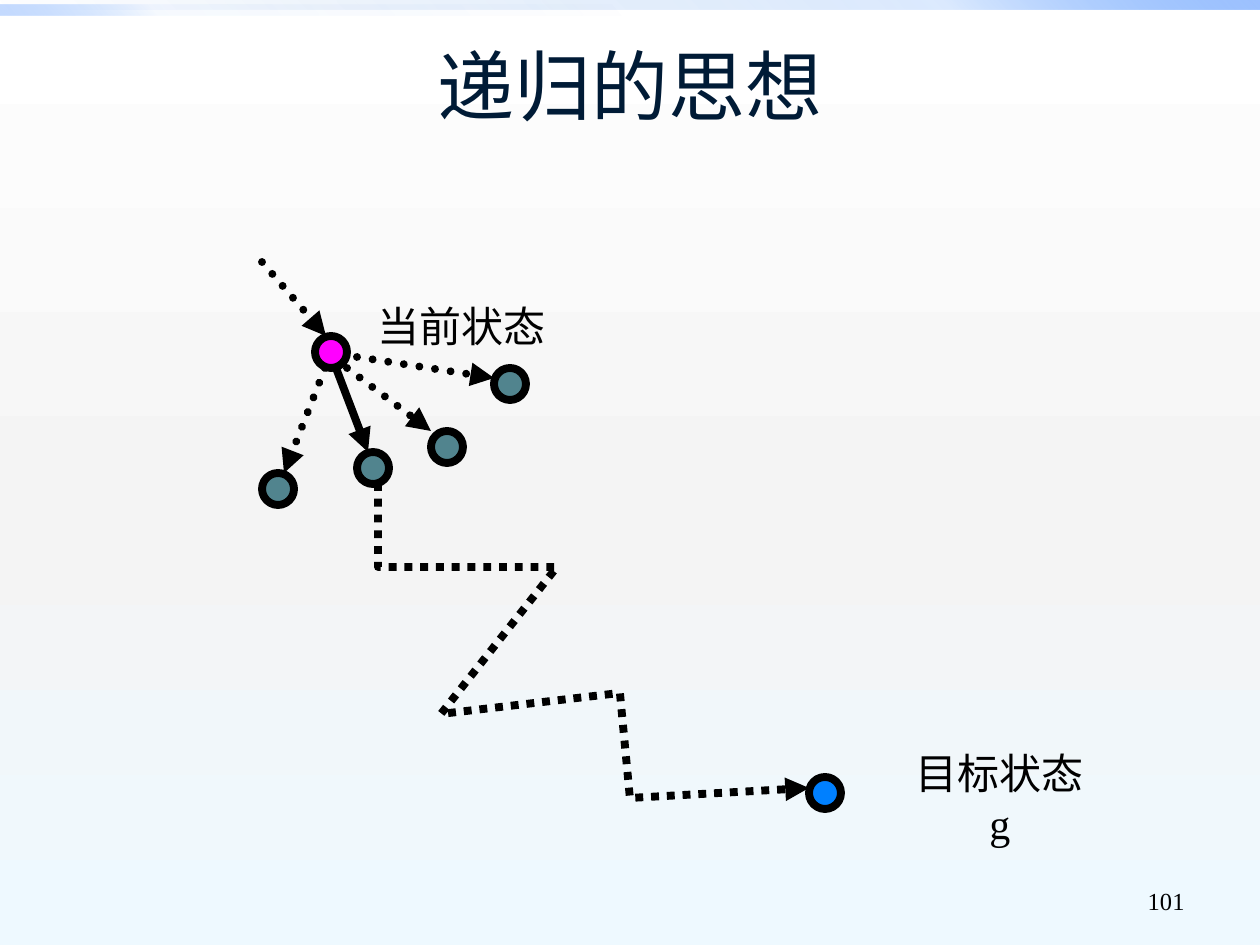
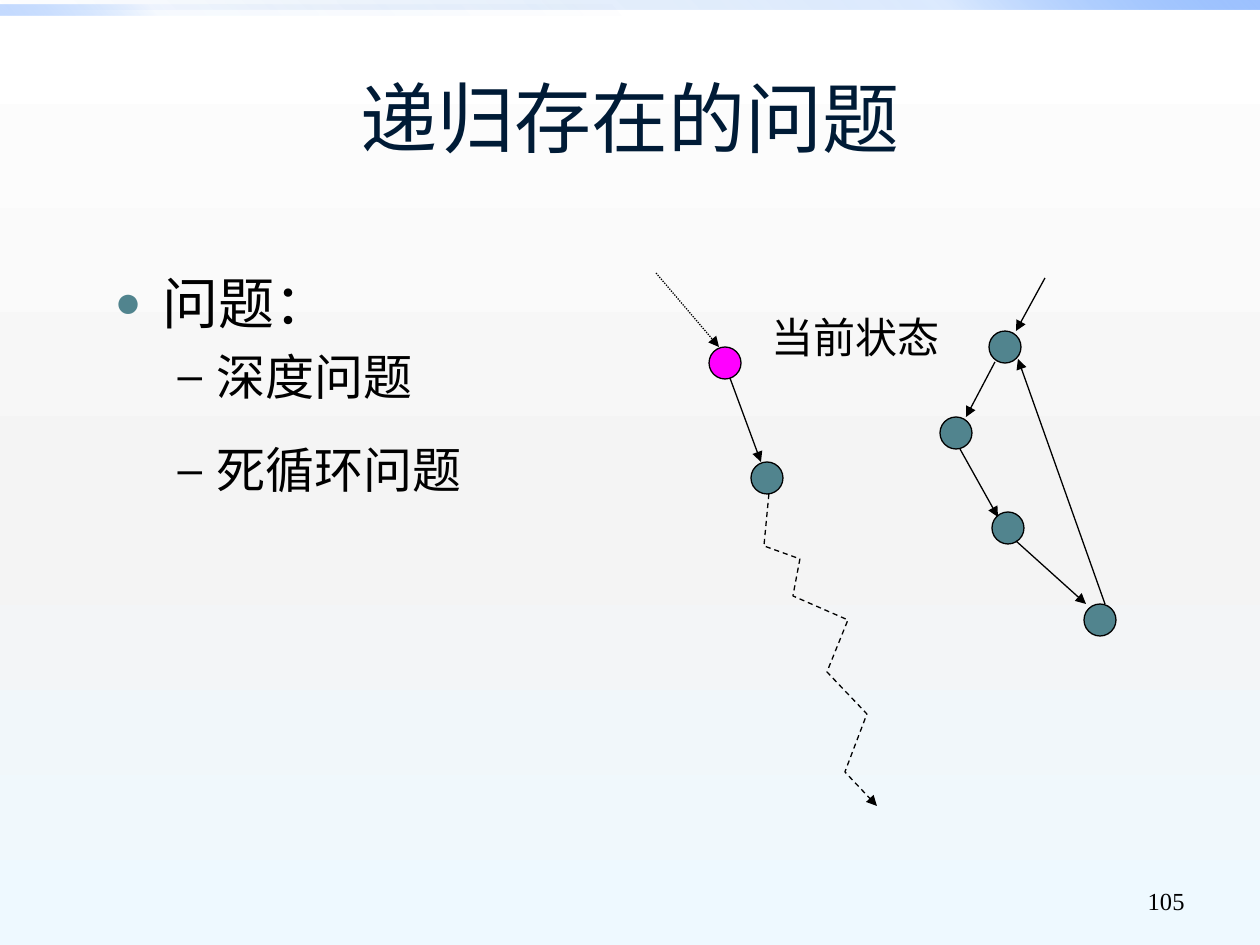
import pptx
import pptx.util
import pptx.dml.color
import pptx.enum.dml
import pptx.enum.shapes
import pptx.enum.text
import pptx.oxml
import pptx.oxml.ns
import lxml.etree

UNIT = 914400 / 126
DARK, TEAL, PINK, BLUE, NAVY = "000000", "51848E", "FF00FF", "0080FF", "001B36"
SERIF = "Times New Roman"
qn = pptx.oxml.ns.qn
Pt = pptx.util.Pt
KIND = pptx.enum.shapes.MSO_SHAPE
LINE = pptx.enum.shapes.MSO_CONNECTOR
DASH = pptx.enum.dml.MSO_LINE
ALIGN = pptx.enum.text.PP_ALIGN
MID = pptx.enum.text.MSO_ANCHOR.MIDDLE
FIXED = pptx.enum.text.MSO_AUTO_SIZE.NONE


def hue(code):
    return pptx.dml.color.RGBColor.from_string(code)


def grad(root, stops, angle):
    old = root.find(".//" + qn("a:solidFill"))
    new = lxml.etree.Element(qn("a:gradFill"), rotWithShape="1")
    row = lxml.etree.SubElement(new, qn("a:gsLst"))
    for pos, code, alpha in stops:
        stop = lxml.etree.SubElement(row, qn("a:gs"), pos=str(pos * 1000))
        tint = lxml.etree.SubElement(stop, qn("a:srgbClr"), val=code)
        lxml.etree.SubElement(tint, qn("a:alpha"), val=str(alpha * 1000))
    lxml.etree.SubElement(new, qn("a:lin"), ang=str(angle * 60000), scaled="0")
    old.getparent().replace(old, new)


pages = [
    {
        "title": "递归的思想", "spot": (95, 32, 1071, 105), "page": "101",
        "weight": 4.5, "cap": "rnd", "list": [],
        "texts": [("当前状态", (365, 294, 193, 63), False),
                  ("目标状态g", (900, 766, 200, 63), True)],
        "parts": [{
            "nodes": [(315, 336, PINK), (357, 452, TEAL), (809, 777, BLUE),
                      (431, 431, TEAL), (262, 473, TEAL), (494, 368, TEAL)],
            "trail": [(378, 483), (378, 567), (557, 567), (441, 714),
                      (620, 693), (630, 798), (809, 788)],
            "dash": DASH.ROUND_DOT,
            "solid": [(336, 368, 368, 452)],
            "dots": [(325, 368, 284, 473), (347, 368, 431, 431),
                     (357, 357, 494, 378), (262, 262, 326, 336)],
        }],
    },
    {
        "title": "递归存在的问题", "spot": (63, 38, 1134, 158), "page": "105",
        "weight": 0.75, "cap": "flat",
        "list": [("问题：", 0, 32, 0, "●", TEAL, 80),
                 ("深度问题", 1, 28, 6, "–", DARK, 90),
                 ("死循环问题", 1, 28, 20, "–", DARK, 90)],
        "texts": [("当前状态", (759, 305, 193, 63), False)],
        "parts": [{
            "nodes": [(709, 347, PINK), (751, 462, TEAL)],
            "trail": [(769, 494), (764, 546), (800, 559), (793, 596), (848, 620),
                      (827, 672), (867, 714), (845, 772), (877, 806)],
            "dash": DASH.DASH,
            "solid": [(730, 378, 761, 462)],
            "dots": [(656, 273, 719, 347)],
        }, {
            "nodes": [(989, 331, TEAL), (940, 417, TEAL),
                      (992, 512, TEAL), (1084, 604, TEAL)],
            "trail": [],
            "dash": None,
            "solid": [(1045, 278, 1016, 331), (995, 362, 966, 417),
                      (960, 449, 998, 517), (1016, 541, 1086, 604),
                      (1105, 604, 1018, 359)],
            "dots": [],
        }],
    },
]

deck = pptx.Presentation()
deck.slide_width, deck.slide_height = round(1260 * UNIT), round(945 * UNIT)
base = deck.slide_master
base.background.fill.solid()
grad(base.element, [(0, "FFFFFF", 100), (55, "F4F4F4", 100), (100, "EEF9FF", 100)], 90)

bands = [((0, 0, 1260, 10), (0, 20, 100), 315),
         ((0, 5, 630, 10), (0, 5, 60), 135)]
slides = [deck.slides.add_slide(deck.slide_layouts[1 if page["list"] else 5])
          for page in pages]
for rank, (box, alphas, angle) in enumerate(bands):
    band = slides[0].shapes.add_shape(KIND.RECTANGLE, *[round(n * UNIT) for n in box])
    band.shadow.inherit = False
    band.line.fill.background()
    band.fill.solid()
    grad(band.element, list(zip((0, 75, 100), ("0058B7", "4F95FF", "9EC2FF"), alphas)), angle)
    band.element.find(".//" + qn("p:cNvPr")).set("id", str(50 + rank))
    base.shapes.element.insert(2 + rank, band.element)

for slide, page in zip(slides, pages):
    shapes = slide.shapes
    if page["list"]:
        body = slide.placeholders[1]
        for name, size in zip(("left", "top", "width", "height"), (102, 262, 1071, 255)):
            setattr(body, name, round(size * UNIT))
        body.text_frame.auto_size = FIXED
        for rank, (words, level, size, gap, mark, code, scale) in enumerate(page["list"]):
            para = body.text_frame.paragraphs[0] if rank == 0 else body.text_frame.add_paragraph()
            para.level = level
            para.space_before = Pt(gap)
            run = para.add_run()
            run.text = words
            run.font.color.rgb = hue(DARK)
            for name, value in {"size": Pt(size), "name": SERIF}.items():
                setattr(run.font, name, value)
            props = para._p.get_or_add_pPr()
            left, dent = ((48, -48), (102, -39))[level]
            props.set("marL", str(round(left * UNIT)))
            props.set("indent", str(round(dent * UNIT)))
            tint = lxml.etree.SubElement(props, qn("a:buClr"))
            lxml.etree.SubElement(tint, qn("a:srgbClr"), val=code)
            lxml.etree.SubElement(props, qn("a:buSzPct"), val=str(scale * 1000))
            lxml.etree.SubElement(props, qn("a:buChar"), char=mark)

    for part in page["parts"]:
        group = shapes.add_group_shape().shapes
        for x, y, code in part["nodes"]:
            node = group.add_shape(KIND.OVAL, *[round(n * UNIT) for n in (x, y, 32, 32)])
            node.shadow.inherit = False
            node.fill.solid()
            node.fill.fore_color.rgb = hue(code)
            node.line.color.rgb = hue(DARK)
            node.line.width = Pt(page["weight"])
        links = []
        if part["trail"]:
            trail = group.build_freeform(*part["trail"][0], scale=UNIT)
            trail.add_line_segments(part["trail"][1:], close=False)
            curve = trail.convert_to_shape()
            curve.fill.background()
            links.append((curve, part["dash"], "flat"))
        for ends, dash, cap in ([(e, None, "flat") for e in part["solid"]]
                                + [(e, DASH.ROUND_DOT, page["cap"]) for e in part["dots"]]):
            link = group.add_connector(LINE.STRAIGHT, *[round(n * UNIT) for n in ends])
            links.append((link, dash, cap))
        for link, dash, cap in links:
            link.line.color.rgb = hue(DARK)
            for name, value in {"width": Pt(page["weight"]), "dash_style": dash}.items():
                setattr(link.line, name, value)
            edge = link.element.spPr.find(qn("a:ln"))
            edge.set("cap", cap)
            lxml.etree.SubElement(edge, qn("a:tailEnd"), type="triangle")
            lxml.etree.SubElement(link.element.spPr, qn("a:effectLst"))

    items = [(shapes.title, page["title"], page["spot"], True, 44, "Arial", NAVY, ALIGN.CENTER),
             (None, page["page"], (903, 876, 294, 50), True, 14, SERIF, DARK, ALIGN.RIGHT)]
    items += [(None, words, box, wrap, 24, SERIF, DARK, ALIGN.CENTER)
              for words, box, wrap in page["texts"]]
    for item, words, box, wrap, size, face, code, align in items:
        if item is None:
            item = shapes.add_textbox(0, 0, 0, 0)
        for name, value in zip(("left", "top", "width", "height"), box):
            setattr(item, name, round(value * UNIT))
        frame = item.text_frame
        frame.text = words
        form = {"word_wrap": wrap, "auto_size": FIXED, "vertical_anchor": MID}
        for name, value in form.items():
            setattr(frame, name, value)
        para = frame.paragraphs[0]
        para.alignment = align
        font = para.runs[0].font
        font.color.rgb = hue(code)
        for name, value in {"size": Pt(size), "name": face}.items():
            setattr(font, name, value)

deck.save("out.pptx")
